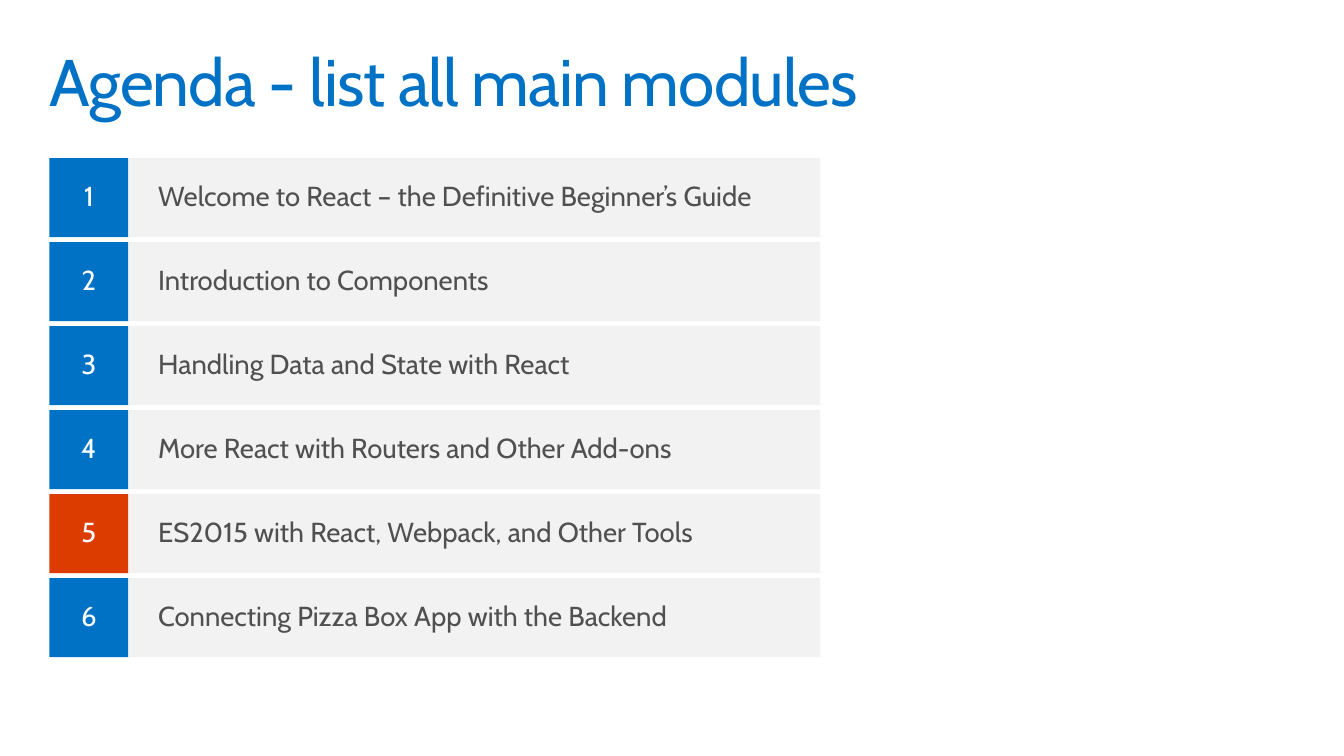
"""Build an agenda slide with a title and a numbered list of modules."""
import pptx
import pptx.dml.color
import pptx.enum.shapes
import pptx.enum.text
import pptx.util

Pt = pptx.util.Pt
Align = pptx.enum.text.PP_ALIGN
Anchor = pptx.enum.text.MSO_ANCHOR

COLORS = {
    "blue": "0072C6",
    "orange": "DC3C00",
    "panel": "F2F2F2",
    "text": "505050",
    "white": "FFFFFF",
}
FONT = "Cabin"
MODULES = [
    "Welcome to React – the Definitive Beginner’s Guide",
    "Introduction to Components",
    "Handling Data and State with React",
    "More React with Routers and Other Add-ons",
    "ES2015 with React, Webpack, and Other Tools",
    "Connecting Pizza Box App with the Backend",
]
CURRENT_MODULE = 5


def rgb(name):
    return pptx.dml.color.RGBColor.from_string(COLORS[name])


def write(shape, text, size, color, align, anchor, inset_x, inset_y):
    frame = shape.text_frame
    frame.word_wrap = True
    frame.vertical_anchor = anchor
    frame.margin_left = frame.margin_right = Pt(inset_x)
    frame.margin_top = frame.margin_bottom = Pt(inset_y)
    paragraph = frame.paragraphs[0]
    paragraph.text = text
    paragraph.alignment = align
    paragraph.line_spacing = 0.9
    paragraph.font.name = FONT
    paragraph.font.size = Pt(size)
    paragraph.font.color.rgb = rgb(color)
    return paragraph


def add_title(slide, text, left, top, width, height):
    box = slide.shapes.add_textbox(Pt(left), Pt(top), Pt(width), Pt(height))
    paragraph = write(box, text, 48, "blue", Align.LEFT, Anchor.TOP, 7.2, 7.2)
    paragraph.runs[0]._r.get_or_add_rPr().set("spc", "-70")


def add_bar(slide, fill, left, top, width, height):
    bar = slide.shapes.add_shape(
        pptx.enum.shapes.MSO_SHAPE.RECTANGLE,
        Pt(left), Pt(top), Pt(width), Pt(height))
    bar.shadow.inherit = False
    bar.fill.solid()
    bar.fill.fore_color.rgb = rgb(fill)
    bar.line.fill.background()
    return bar


def add_agenda(slide, modules, current, left, top, width, height, gap):
    row_height = (height + gap) / len(modules) - gap
    for index, module in enumerate(modules):
        number = index + 1
        row_top = top + index * (row_height + gap)
        fill = "orange" if number == current else "blue"
        tile = add_bar(slide, fill, left, row_top, row_height, row_height)
        write(tile, str(number), 20, "white",
              Align.CENTER, Anchor.MIDDLE, 14.4, 11.52)
        panel = add_bar(slide, "panel", left + row_height, row_top,
                        width - row_height, row_height)
        write(panel, module, 20, "text",
              Align.LEFT, Anchor.MIDDLE, 21.6, 7.2)


presentation = pptx.Presentation()
presentation.slide_width = Pt(979.2)
presentation.slide_height = Pt(550.8)
slide = presentation.slides.add_slide(presentation.slide_layouts[6])
add_title(slide, "Agenda - list all main modules", 28.8, 28.8, 921.6, 72)
add_agenda(slide, MODULES, CURRENT_MODULE, 36, 115.2, 561.6, 363.6, 3.6)
presentation.save("out.pptx")
